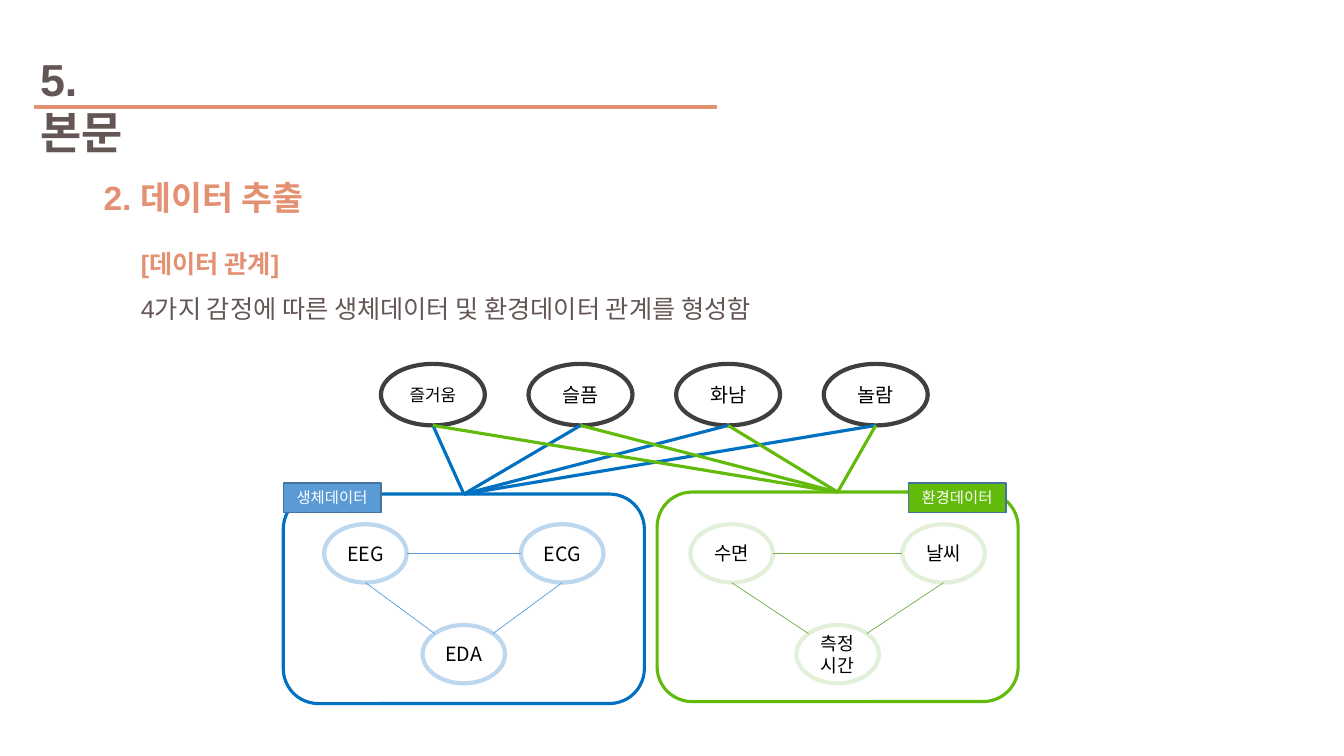
"""Build the slide relating four emotions to biometric and environmental data."""
from math import sqrt

from lxml.etree import SubElement
from pptx import Presentation
from pptx.dml.color import RGBColor
from pptx.enum.shapes import MSO_CONNECTOR, MSO_SHAPE
from pptx.enum.text import MSO_ANCHOR, PP_ALIGN
from pptx.oxml.ns import qn
from pptx.util import Cm, Pt

COLORS = {
    "accent": "E49173", "heading": "645654", "black": "000000", "white": "FFFFFF",
    "emotion": "3F3F3F", "tag_line": "43739E",
    "bio": "0070C0", "bio_node": "BDD7EE", "bio_link": "5B9BD5",
    "env": "62BB0B", "env_node": "E2F0D9", "env_link": "70AD47",
}
EMOTIONS = [("즐거움", 12), ("슬픔", 14), ("화남", 14), ("놀람", 14)]
EMOTION_LEFT, EMOTION_TOP, EMOTION_STEP = 9.6, 9.17, 3.72
EMOTION_WIDTH, EMOTION_HEIGHT = 2.62, 1.55
PANEL_WIDTH, PANEL_HEIGHT = 9.1, 5.28
NODE_WIDTH, NODE_HEIGHT = 2.08, 1.47
UPPER_TOP, LOWER_TOP = 13.21, 15.75
GROUPS = [
    {"key": "bio", "left": 7.14, "top": 12.45, "spread": 2.48,
     "nodes": [("EEG", 14), ("ECG", 14), ("EDA", 14)],
     "tag": "생체데이터", "tag_left": 7.14, "tag_fill": "bio_link"},
    {"key": "env", "left": 16.56, "top": 12.4, "spread": 2.67,
     "nodes": [("수면", 13.5), ("날씨", 13.5), ("측정시간", 13)],
     "tag": "환경데이터", "tag_left": 22.89, "tag_fill": "env"},
]


class SlideBuilder:
    """Hold the style and the current slide."""

    text_font = "Arial"
    diagram_font = "Noto Sans CJK KR"

    def __init__(self, slide):
        self.slide = slide

    def color(self, name):
        return RGBColor.from_string(COLORS[name])

    def style(self, paragraph, name, size, color, bold=False):
        font = paragraph.font
        font.name, font.size, font.bold = name, Pt(size), bold
        font.color.rgb = self.color(color)

    def text(self, left, top, width, height, lines, spacing=None):
        box = self.slide.shapes.add_textbox(Cm(left), Cm(top), Cm(width), Cm(height))
        frame = box.text_frame
        frame.word_wrap = True
        for index, (content, size, color, bold) in enumerate(lines):
            paragraph = frame.add_paragraph() if index else frame.paragraphs[0]
            paragraph.text = content
            if spacing:
                paragraph.line_spacing = spacing
            self.style(paragraph, self.text_font, size, color, bold)

    def shape(self, kind, left, top, width, height, line, weight, fill=None):
        shape = self.slide.shapes.add_shape(
            kind, Cm(left), Cm(top), Cm(width), Cm(height))
        shape.shadow.inherit = False
        if fill:
            shape.fill.solid()
            shape.fill.fore_color.rgb = self.color(fill)
        else:
            shape.fill.background()
        shape.line.color.rgb = self.color(line)
        shape.line.width = Pt(weight)
        return shape

    def label(self, shape, content, size, color="black"):
        frame = shape.text_frame
        frame.vertical_anchor = MSO_ANCHOR.MIDDLE
        paragraph = frame.paragraphs[0]
        paragraph.text = content
        paragraph.alignment = PP_ALIGN.CENTER
        self.style(paragraph, self.diagram_font, size, color)

    def line(self, start, end, color, weight):
        connector = self.slide.shapes.add_connector(
            MSO_CONNECTOR.STRAIGHT, *(Cm(value) for value in (*start, *end)))
        connector.line.color.rgb = self.color(color)
        connector.line.width = Pt(weight)
        SubElement(connector._element.spPr, qn("a:effectLst"))
        return connector

    def ellipse(self, left, top, width, height, line, content, size):
        shape = self.shape(MSO_SHAPE.OVAL, left, top, width, height, line, 3)
        self.label(shape, content, size)

    def panel(self, group):
        return self.shape(MSO_SHAPE.ROUNDED_RECTANGLE, group["left"], group["top"],
                          PANEL_WIDTH, PANEL_HEIGHT, group["key"], 2.25)

    def triangle(self, group):
        key, spread = group["key"], group["spread"]
        center = group["left"] + PANEL_WIDTH / 2
        places = [(center - spread, UPPER_TOP), (center + spread, UPPER_TOP),
                  (center, LOWER_TOP)]
        for (middle, top), (content, size) in zip(places, group["nodes"]):
            self.ellipse(middle - NODE_WIDTH / 2, top, NODE_WIDTH, NODE_HEIGHT,
                         f"{key}_node", content, size)
        link = f"{key}_link"
        reach = spread - NODE_WIDTH / 2
        level = UPPER_TOP + NODE_HEIGHT / 2
        self.line((center - reach, level), (center + reach, level), link, 0.5)
        shoulder = NODE_WIDTH / 2 / sqrt(2)
        shoulder_top = LOWER_TOP + NODE_HEIGHT / 2 * (1 - 1 / sqrt(2))
        for side in (-1, 1):
            self.line((center + side * spread, UPPER_TOP + NODE_HEIGHT),
                      (center + side * shoulder, shoulder_top), link, 0.5)

    def tag(self, group):
        shape = self.shape(MSO_SHAPE.RECTANGLE, group["tag_left"], 12.17, 2.46, 0.74,
                           "tag_line", 1, group["tag_fill"])
        self.label(shape, group["tag"], 11, "white")


def main():
    presentation = Presentation()
    presentation.slide_width, presentation.slide_height = Cm(33.87), Cm(19.05)
    builder = SlideBuilder(presentation.slides.add_slide(presentation.slide_layouts[6]))

    builder.line((0.85, 2.7), (18.06, 2.7), "accent", 3)
    builder.text(0.76, 1.17, 3.3, 2.9, [("5. 본문", 32, "heading", True)])
    builder.text(2.36, 4.34, 31, 1.27, [("2. 데이터 추출", 24, "accent", True)])
    builder.text(3.3, 5.74, 29.92, 2.41, [
        ("[데이터 관계]", 18, "accent", True),
        ("4가지 감정에 따른 생체데이터 및 환경데이터 관계를 형성함", 18, "heading", False),
    ], 1.5)

    lefts = [EMOTION_LEFT + index * EMOTION_STEP for index in range(len(EMOTIONS))]
    for left, (content, size) in zip(lefts, EMOTIONS):
        builder.ellipse(left, EMOTION_TOP, EMOTION_WIDTH, EMOTION_HEIGHT,
                        "emotion", content, size)
    panels = [builder.panel(group) for group in GROUPS]
    for group in GROUPS:
        builder.triangle(group)
    for group, panel in zip(GROUPS, panels):
        panel_top = (group["left"] + PANEL_WIDTH / 2, group["top"])
        for left in lefts:
            emotion_bottom = (left + EMOTION_WIDTH / 2, EMOTION_TOP + EMOTION_HEIGHT)
            relation = builder.line(emotion_bottom, panel_top, group["key"], 2.25)
            relation.end_connect(panel, 0)
    for group in GROUPS:
        builder.tag(group)

    presentation.save("out.pptx")


if __name__ == "__main__":
    main()
